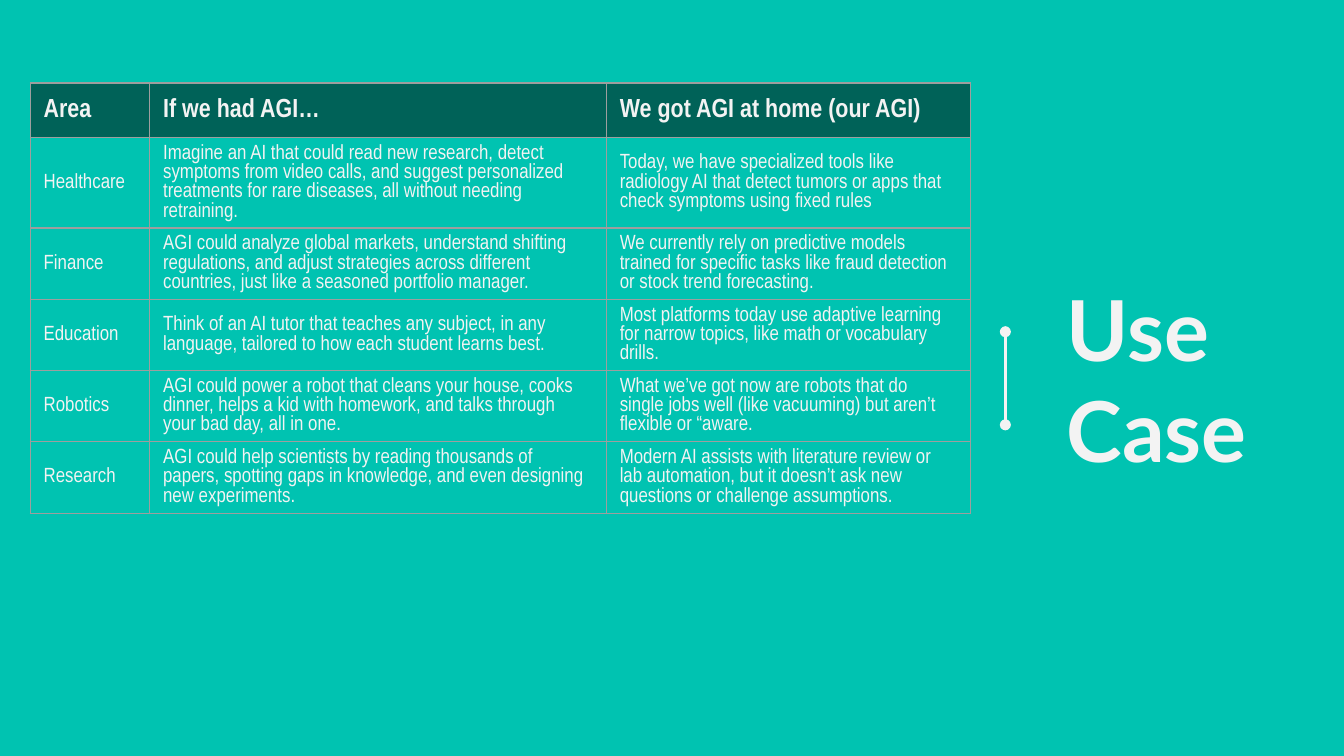
"""Build the "Use Case" slide: a comparison table with a title beside it."""
import pptx
import pptx.dml.color
import pptx.enum.shapes
import pptx.enum.text
import pptx.oxml
import pptx.oxml.ns
import pptx.util

Cm, Pt = pptx.util.Cm, pptx.util.Pt
RGBColor = pptx.dml.color.RGBColor
MIDDLE = pptx.enum.text.MSO_ANCHOR.MIDDLE
LEFT = pptx.enum.text.PP_ALIGN.LEFT

TEAL = RGBColor(0x00, 0xC3, 0xB1)
DARK_TEAL = RGBColor(0x00, 0x62, 0x58)
OFF_WHITE = RGBColor(0xF3, 0xF3, 0xF3)
GREY = RGBColor(0x9E, 0x9E, 0x9E)

TITLE = "Use Case"
ROWS = [
    ("Area", "If we had AGI…", "We got AGI at home (our AGI)"),
    ("Healthcare",
     "Imagine an AI that could read new research, detect symptoms from video calls, and suggest "
     "personalized treatments for rare diseases, all without needing retraining.",
     "Today, we have specialized tools like radiology AI that detect tumors or apps that check "
     "symptoms using fixed rules"),
    ("Finance",
     "AGI could analyze global markets, understand shifting regulations, and adjust strategies "
     "across different countries, just like a seasoned portfolio manager.",
     "We currently rely on predictive models trained for specific tasks like fraud detection or "
     "stock trend forecasting."),
    ("Education",
     "Think of an AI tutor that teaches any subject, in any language, tailored to how each "
     "student learns best.",
     "Most platforms today use adaptive learning for narrow topics, like math or vocabulary "
     "drills."),
    ("Robotics",
     "AGI could power a robot that cleans your house, cooks dinner, helps a kid with homework, "
     "and talks through your bad day, all in one.",
     "What we’ve got now are robots that do single jobs well (like vacuuming) but aren’t "
     "flexible or “aware."),
    ("Research",
     "AGI could help scientists by reading thousands of papers, spotting gaps in knowledge, and "
     "even designing new experiments.",
     "Modern AI assists with literature review or lab automation, but it doesn’t ask new "
     "questions or challenge assumptions."),
]
COLUMN_WIDTHS = [2.26, 8.63, 6.88]
ROW_HEIGHT = 1.03
TABLE_LEFT, TABLE_TOP = 0.57, 1.57

TITLE_FONT = {"name": "Lato", "size": Pt(45), "bold": True}
HEADER_FONT = {"name": "Arial Narrow", "size": Pt(14), "bold": True}
BODY_FONT = {"name": "Arial Narrow", "size": Pt(11), "bold": False}


def set_values(target, values):
    for name, value in values.items():
        setattr(target, name, value)


def write_text(text_frame, text, font):
    paragraph = text_frame.paragraphs[0]
    paragraph.alignment = LEFT
    run = paragraph.add_run()
    run.text = text
    set_values(run.font, font)
    run.font.color.rgb = OFF_WHITE


def add_borders(cell):
    properties = cell._tc.get_or_add_tcPr()
    for position, side in enumerate(("lnL", "lnR", "lnT", "lnB")):
        properties.insert(position, pptx.oxml.parse_xml(
            f'<a:{side} {pptx.oxml.ns.nsdecls("a")} w="{Pt(0.75)}"><a:solidFill>'
            f'<a:srgbClr val="{GREY}"/></a:solidFill></a:{side}>'))


def add_title(slide):
    title = slide.shapes.title
    set_values(title, {"left": Cm(19.91), "top": Cm(3.99), "width": Cm(5.46), "height": Cm(6.32)})
    margins = dict.fromkeys(
        ("margin_left", "margin_top", "margin_right", "margin_bottom"), Cm(0.25))
    set_values(title.text_frame, {
        "word_wrap": True, "vertical_anchor": MIDDLE,
        "auto_size": pptx.enum.text.MSO_AUTO_SIZE.NONE, **margins})
    write_text(title.text_frame, TITLE, TITLE_FONT)


def add_divider(slide):
    divider = slide.shapes.add_connector(
        pptx.enum.shapes.MSO_CONNECTOR.STRAIGHT, Cm(19), Cm(6.27), Cm(19), Cm(8.03))
    divider.line.color.rgb = OFF_WHITE
    divider.line.width = Pt(1.5)
    line = divider.line._get_or_add_ln()
    for end in ("headEnd", "tailEnd"):
        line.append(pptx.oxml.parse_xml(
            f'<a:{end} {pptx.oxml.ns.nsdecls("a")} type="oval"/>'))
    divider._element.spPr.append(
        pptx.oxml.parse_xml(f'<a:effectLst {pptx.oxml.ns.nsdecls("a")}/>'))


def add_comparison(slide):
    table = slide.shapes.add_table(
        len(ROWS), len(COLUMN_WIDTHS), Cm(TABLE_LEFT), Cm(TABLE_TOP),
        Cm(sum(COLUMN_WIDTHS)), Cm(ROW_HEIGHT * len(ROWS))).table
    set_values(table, {"first_row": False, "horz_banding": False})
    for column, width in zip(table.columns, COLUMN_WIDTHS):
        column.width = Cm(width)
    for row_index, texts in enumerate(ROWS):
        table.rows[row_index].height = Cm(ROW_HEIGHT)
        for column_index, text in enumerate(texts):
            cell = table.cell(row_index, column_index)
            cell.vertical_anchor = MIDDLE
            if row_index == 0:
                cell.fill.solid()
                cell.fill.fore_color.rgb = DARK_TEAL
            else:
                cell.fill.background()
            add_borders(cell)
            write_text(cell.text_frame, text, BODY_FONT if row_index else HEADER_FONT)


def main():
    presentation = pptx.Presentation()
    set_values(presentation, {"slide_width": Cm(25.4), "slide_height": Cm(14.29)})
    slide = presentation.slides.add_slide(presentation.slide_layouts[5])
    slide.background.fill.solid()
    slide.background.fill.fore_color.rgb = TEAL
    add_title(slide)
    add_divider(slide)
    add_comparison(slide)
    presentation.save("out.pptx")


if __name__ == "__main__":
    main()
